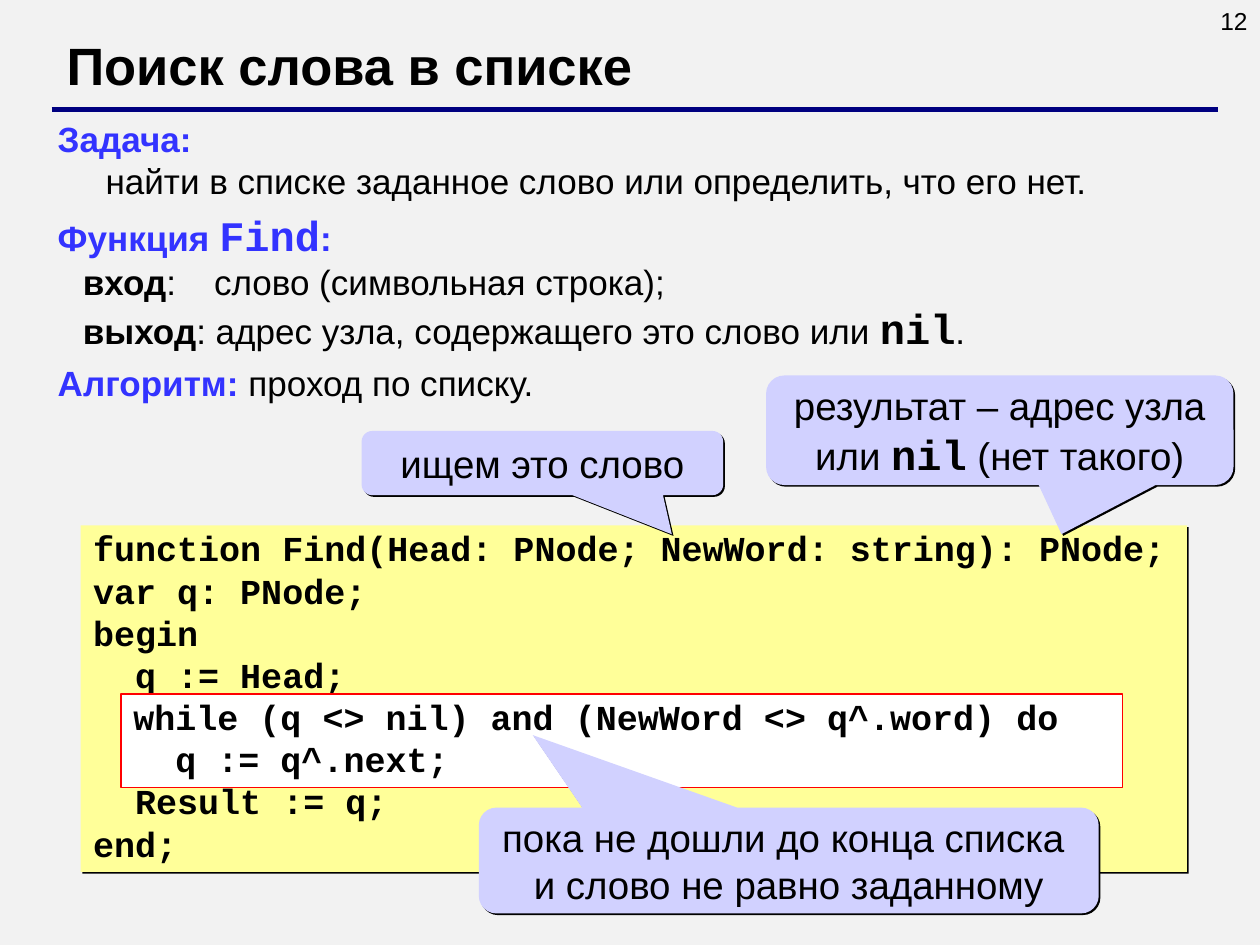
from lxml.etree import SubElement
from pptx import Presentation
from pptx.dml.color import RGBColor
from pptx.enum.shapes import MSO_CONNECTOR, MSO_SHAPE as SHAPE
from pptx.enum.text import MSO_ANCHOR as ANCHOR, PP_ALIGN as ALIGN
from pptx.oxml.ns import qn
from pptx.util import Inches, Pt

BLACK, WHITE = RGBColor(0, 0, 0), RGBColor(255, 255, 255)
GRAY, NAVY = RGBColor(0xF2, 0xF2, 0xF2), RGBColor(0, 0, 0x80)
BLUE, RED = RGBColor(0x33, 0x33, 0xFF), RGBColor(255, 0, 0)
YELLOW, LILAC = RGBColor(0xFF, 0xFF, 0x99), RGBColor(0xD1, 0xD1, 0xFF)


def text_style(size, name="Arial", bold=False, color=BLACK):
    return {"size": Pt(size), "name": name, "bold": bold, "color": color}


# Text styles
NUMBER = text_style(14)
TITLE = text_style(30, bold=True)
BODY = text_style(20)
STRONG = text_style(20, bold=True)
HEAD = text_style(20, bold=True, color=BLUE)
HEAD_CODE = text_style(24, "Courier New", True, BLUE)
WORD = text_style(24, "Courier New", True)
CODE = text_style(20, "Courier New", True)
NOTE = text_style(22)

# Task description: (left margin, first-line indent, space before, spans)
TASK = [
    (0.38, -0.38, 0, [("Задача: \n", HEAD),
                      ("найти в списке заданное слово или определить, что его нет.", BODY)]),
    (0.38, -0.38, 5, [("Функция ", HEAD), ("Find", HEAD_CODE), (":", HEAD)]),
    (1.24, -1.04, 0, [("вход", STRONG), (":\tслово (символьная строка);", BODY)]),
    (0.59, -0.39, 0, [("выход", STRONG), (": адрес узла, содержащего это слово или ", BODY),
                      ("nil", WORD), (".", BODY)]),
    (0.38, -0.38, 5, [("Алгоритм: ", HEAD), ("проход по списку.", BODY)]),
]

LISTING = [
    "function Find(Head: PNode; NewWord: string): PNode;",
    "var q: PNode;",
    "begin",
    "  q := Head;",
    "  while (q <> nil) and (NewWord <> q^.word) do",
    "    q := q^.next;",
    "  Result := q;",
    "end;",
]
LOOP = [line[2:] for line in LISTING[4:6]]

# Callouts: (left, top, width, height), pointer tip, spans
SEARCH_NOTE = ((2.87, 3.42, 2.87, 0.51), (0.358, 1.109), [("ищем это слово", NOTE)])
RESULT_NOTE = ((6.08, 2.98, 3.71, 0.87), (0.132, 0.948),
               [("результат – адрес узла или ", NOTE), ("nil", WORD), (" (нет такого)", NOTE)])
LOOP_NOTE = ((3.8, 6.41, 4.92, 0.84), (-0.413, -1.185),
             [("пока не дошли до конца списка \nи слово не равно заданному", NOTE)])

deck = Presentation()
deck.slide_width, deck.slide_height = Inches(10), Inches(7.5)
page = deck.slides.add_slide(deck.slide_layouts[6])
page.background.fill.solid()
page.background.fill.fore_color.rgb = GRAY


def write(box, paragraphs, anchor=ANCHOR.TOP, **layout):
    """Fill a box with paragraphs, each a (paragraph format, spans) pair."""
    frame = box.text_frame
    frame.word_wrap, frame.vertical_anchor = True, anchor
    for index, (extra, spans) in enumerate(paragraphs):
        para = frame.add_paragraph() if index else frame.paragraphs[0]
        for key, value in {**layout, **extra}.items():
            if index or key != "space_before":
                setattr(para, key, value)
        for text, style in spans:
            for number, part in enumerate(text.split("\n")):
                if number:
                    para.add_line_break()
                if not part:
                    continue
                span = para.add_run()
                span.text = part
                for key, value in style.items():
                    if key == "color":
                        span.font.color.rgb = value
                    else:
                        setattr(span.font, key, value)


def add_text(place, paragraphs, **layout):
    write(page.shapes.add_textbox(*map(Inches, place)), paragraphs, **layout)


def add_panel(kind, place, fill, border=None, shadow=True):
    box = page.shapes.add_shape(kind, *map(Inches, place))
    box.shadow.inherit = False
    box.fill.solid()
    box.fill.fore_color.rgb = fill
    if border is None:
        box.line.fill.background()
    else:
        box.line.color.rgb, box.line.width = border, Pt(1)
    if shadow:
        effects = box._element.spPr.find(qn("a:effectLst"))
        cast = SubElement(effects, qn("a:outerShdw"), dist=str(Pt(1.4)),
                          dir="2700000", algn="ctr", rotWithShape="0")
        SubElement(cast, qn("a:srgbClr"), val=str(BLACK))
    return box


def add_code(place, lines, fill, **look):
    write(add_panel(SHAPE.RECTANGLE, place, fill, **look),
          [({}, [(line, CODE)]) for line in lines],
          alignment=ALIGN.JUSTIFY, line_spacing=0.9, space_before=Pt(2.5))


def add_callout(place, tip, spans):
    box = add_panel(SHAPE.ROUNDED_RECTANGULAR_CALLOUT, place, LILAC)
    for index, value in enumerate((*tip, 0.167)):
        box.adjustments[index] = value
    write(box, [({}, spans)], ANCHOR.MIDDLE, alignment=ALIGN.CENTER)


# Page number, title and rule
add_text((7.67, 0, 2.33, 0.52), [({}, [("12", NUMBER)])], alignment=ALIGN.RIGHT)
rule = page.shapes.add_connector(MSO_CONNECTOR.STRAIGHT, *map(Inches, (0.41, 0.87, 9.67, 0.87)))
rule.line.color.rgb, rule.line.width = NAVY, Pt(3)
SubElement(rule._element.spPr, qn("a:effectLst"))
add_text((0.43, 0.21, 8.9, 0.6), [({}, [("Поиск слова в списке", TITLE)])])

# Task description, with hanging indents
task_box = page.shapes.add_textbox(*map(Inches, (0.36, 0.88, 9.39, 2.38)))
write(task_box, [({"space_before": Pt(before)}, spans) for _, _, before, spans in TASK])
for para, (margin, indent, _, _) in zip(task_box.text_frame.paragraphs, TASK):
    properties = para._p.get_or_add_pPr()
    properties.set("marL", str(Inches(margin)))
    properties.set("indent", str(Inches(indent)))

# Code and its callouts, from back to front
add_code((0.64, 4.17, 8.78, 2.75), LISTING, YELLOW)
add_callout(*SEARCH_NOTE)
add_callout(*RESULT_NOTE)
add_code((0.96, 5.51, 7.95, 0.74), LOOP, WHITE, border=RED, shadow=False)
add_callout(*LOOP_NOTE)

deck.save("out.pptx")
